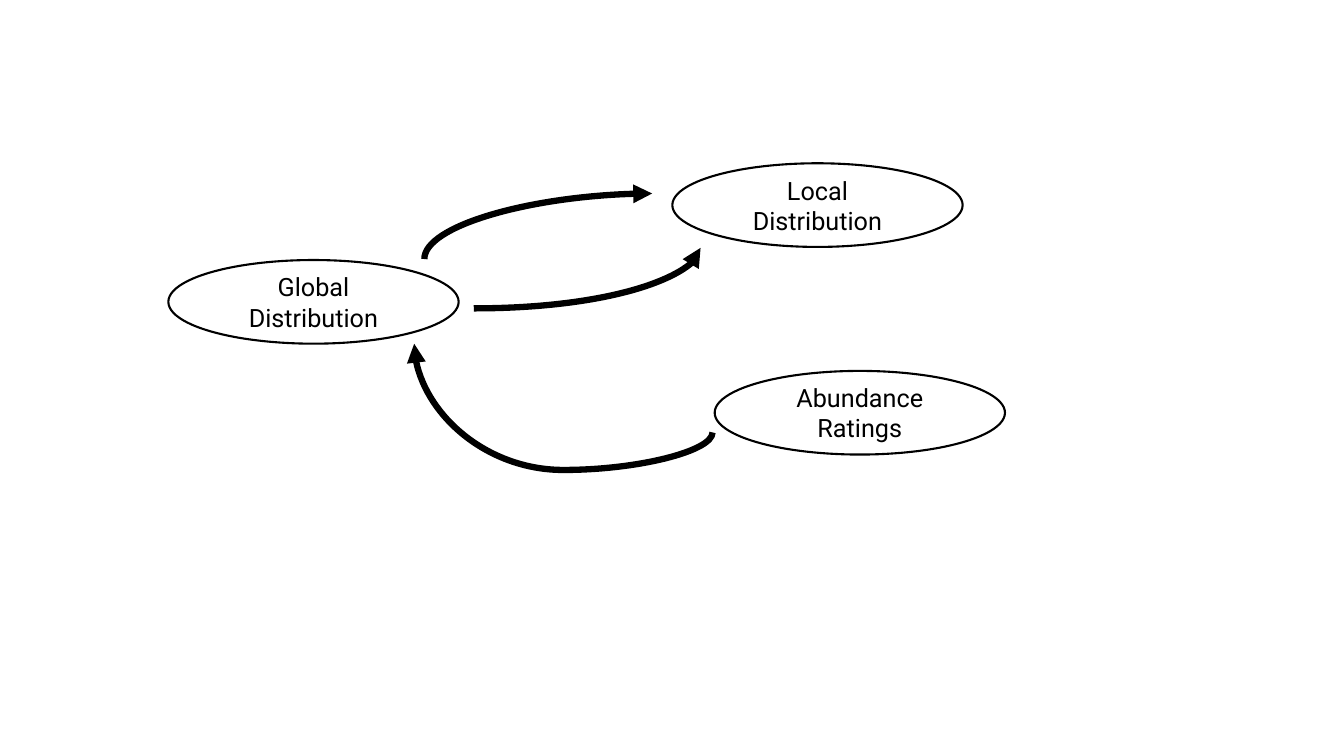
import pptx
import pptx.dml.color
import pptx.enum.shapes
import pptx.enum.text
import pptx.oxml.ns
import pptx.util
from lxml import etree

Pt = pptx.util.Pt
qn = pptx.oxml.ns.qn


def color(value):
    return pptx.dml.color.RGBColor.from_string(value)


prs = pptx.Presentation()
prs.slide_width = Pt(960)
prs.slide_height = Pt(540)
s = prs.slides.add_slide(prs.slide_layouts[6])

ellipses = [
    ("Global Distribution", 120.24, 185.76),
    ("Local Distribution", 480.24, 116.64),
    ("Abundance Ratings", 510.48, 264.96),
]
for label, left, top in ellipses:
    sp = s.shapes.add_shape(pptx.enum.shapes.MSO_SHAPE.OVAL, Pt(left), Pt(top), Pt(207.36), Pt(59.76))
    sp.shadow.inherit = False
    sp.fill.background()
    sp.line.color.rgb = color("000000")
    sp.line.width = Pt(1.5)
    tf = sp.text_frame
    tf.word_wrap = True
    tf.vertical_anchor = pptx.enum.text.MSO_ANCHOR.MIDDLE
    p = tf.paragraphs[0]
    p.alignment = pptx.enum.text.PP_ALIGN.CENTER
    r = p.add_run()
    r.text = label
    r.font.name = "Roboto"
    r.font.size = Pt(18)
    r.font.color.rgb = color("000000")

arrows = [
    (303.12, 185.04, 465.84, 138.24, True, "curvedConnector2", None),
    (338.4, 220.32, 500.4, 177.12, False, "curvedConnector2", None),
    (509.04, 308.88, 295.92, 245.52, True, "curvedConnector3", -42300),
]
for x1, y1, x2, y2, quarter_turn, preset, bend in arrows:
    mid_x, mid_y = (x1 + x2) / 2, (y1 + y2) / 2
    dx, dy = (x2 - x1) / 2, (y2 - y1) / 2
    if quarter_turn:
        dx, dy = dy, -dx
    cxn = s.shapes.add_connector(
        pptx.enum.shapes.MSO_CONNECTOR.CURVE,
        Pt(mid_x - dx), Pt(mid_y - dy), Pt(mid_x + dx), Pt(mid_y + dy),
    )
    cxn.line.color.rgb = color("000000")
    cxn.line.width = Pt(4.5)
    props = cxn._element.spPr
    if quarter_turn:
        props.find(qn("a:xfrm")).set("rot", "5400000")
    geom = props.find(qn("a:prstGeom"))
    geom.set("prst", preset)
    if bend is not None:
        guides = geom.find(qn("a:avLst"))
        etree.SubElement(guides, qn("a:gd"), name="adj1", fmla=f"val {bend}")
    etree.SubElement(props.find(qn("a:ln")), qn("a:tailEnd"), type="triangle")
    etree.SubElement(props, qn("a:effectLst"))

prs.save("out.pptx")
